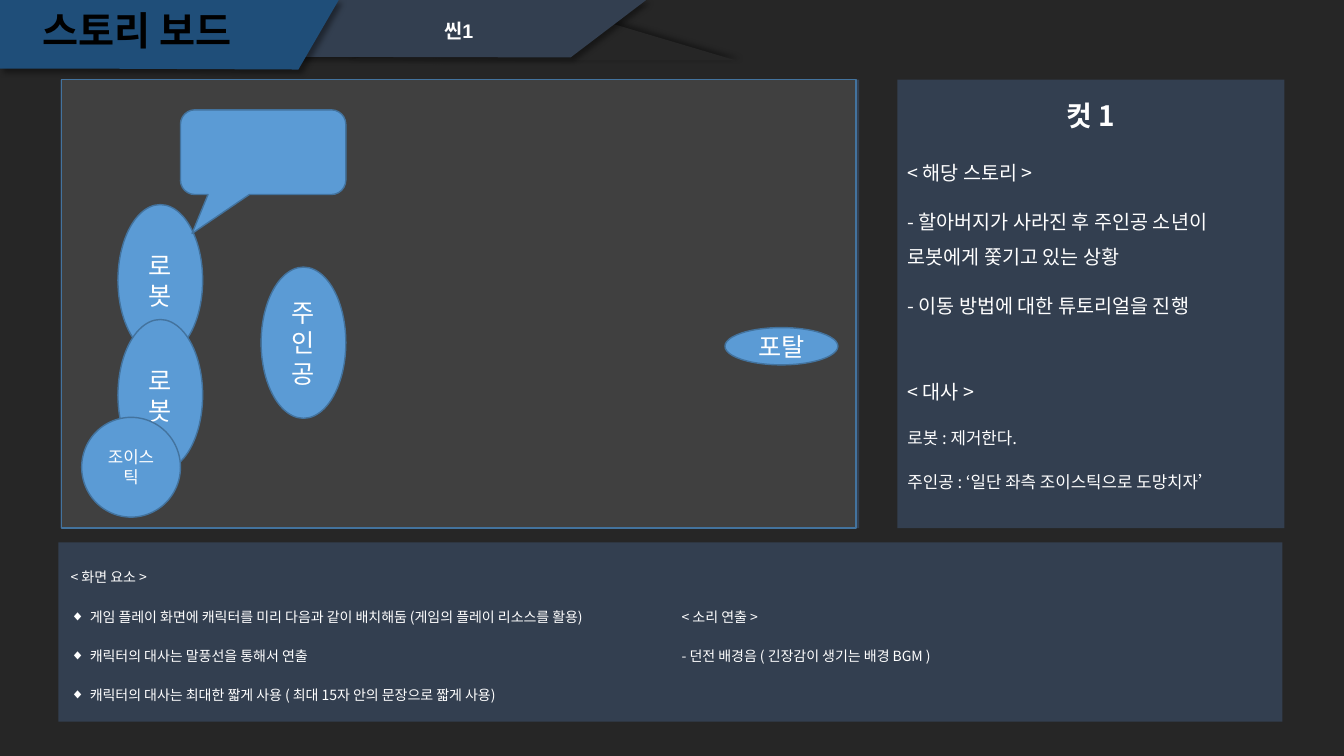
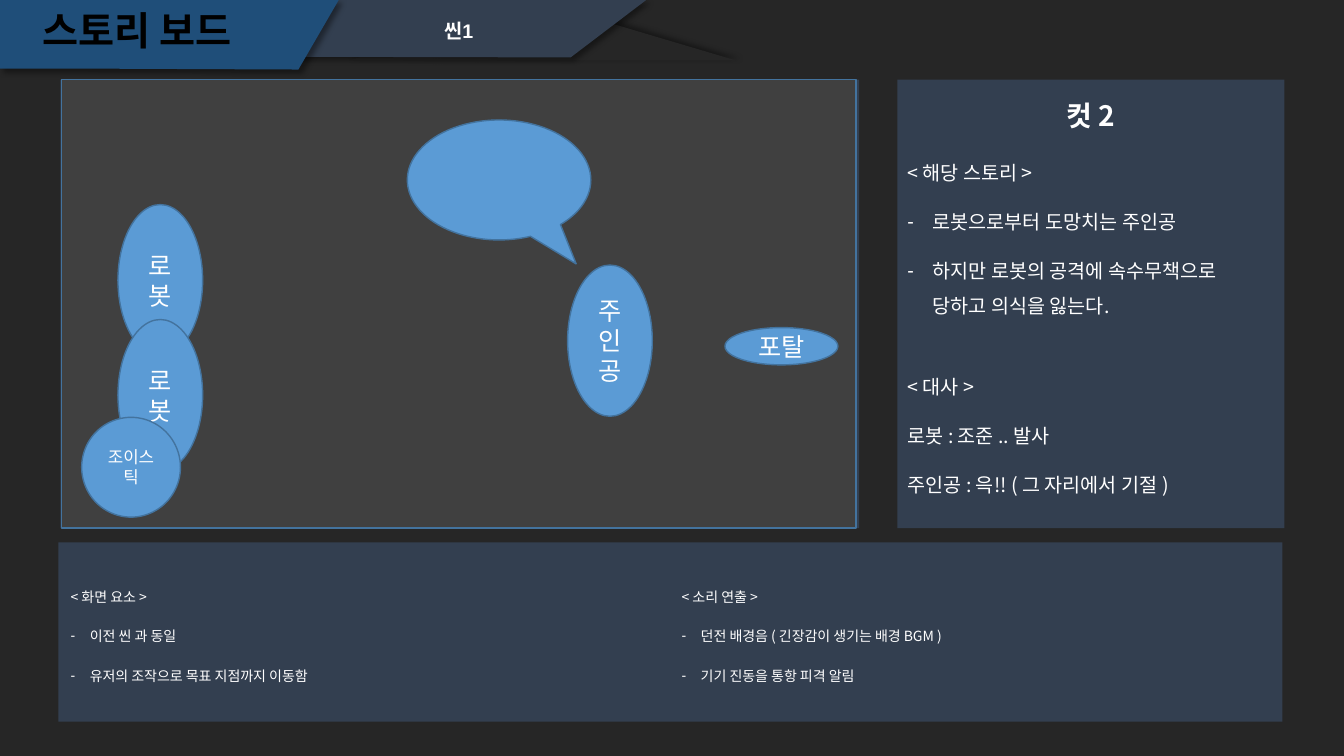
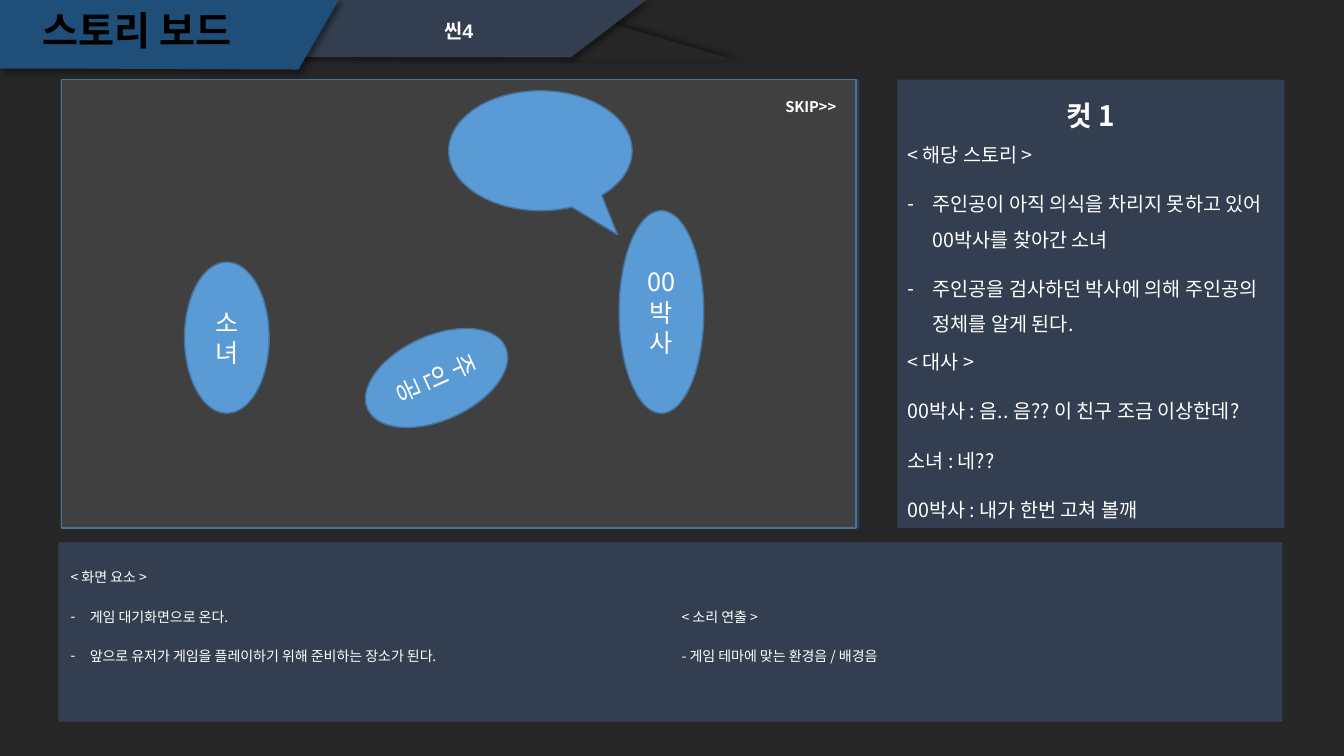
import dataclasses
import typing

import lxml.etree
import pptx
import pptx.dml.color
import pptx.enum.shapes
import pptx.enum.text
import pptx.oxml
import pptx.oxml.ns
import pptx.util

SCALE = 9144
COLORS = {
    "ground": "262626",
    "panel": "333F50",
    "banner": "1F4E79",
    "stage": "404040",
    "actor": "5B9BD5",
    "outline": "43739E",
    "white": "FFFFFF",
    "black": "000000",
}
KOREAN = "Noto Sans CJK KR"
LATIN = "Arial"
SHAPE = pptx.enum.shapes.MSO_SHAPE
ALIGN = pptx.enum.text.PP_ALIGN
ANCHOR = pptx.enum.text.MSO_ANCHOR


@dataclasses.dataclass(frozen=True)
class Box:
    left: int
    top: int
    width: int
    height: int


@dataclasses.dataclass(frozen=True)
class Style:
    size: float
    font: str = KOREAN
    color: str = "white"
    bold: bool = False
    align: typing.Any = ALIGN.LEFT
    spacing: float = 1.5


@dataclasses.dataclass(frozen=True)
class Line:
    text: str
    bullet: str = ""
    size: typing.Optional[float] = None


@dataclasses.dataclass(frozen=True)
class Panel:
    index: int
    box: Box
    size: int
    indent: int


@dataclasses.dataclass(frozen=True)
class Actor:
    box: Box
    text: str = ""
    size: int = 18
    kind: typing.Any = SHAPE.OVAL
    rotation: float = 0
    adjustments: tuple[float, ...] = ()


@dataclasses.dataclass(frozen=True)
class Cut:
    scene: str
    heading: str
    actors: list[Actor]
    story: list[Line]
    dialogue: list[Line]
    screen: list[Line]
    sound: list[Line]
    screen_bottom: int = 5
    skip: str = ""


STORY = Panel(1, Box(890, 134, 384, 195), 14, 25)
DIALOGUE = Panel(2, Box(890, 329, 385, 195), 14, 25)
SCREEN = Panel(3, Box(60, 538, 606, 178), 10, 19)
SOUND = Panel(4, Box(666, 538, 606, 178), 10, 19)
TITLE_STYLE = Style(28, LATIN, "black", True, ALIGN.CENTER, 0.9)
SCENE_STYLE = Style(14, LATIN, "white", True, ALIGN.CENTER, 0.9)
CUT_STYLE = Style(20, bold=True, align=ALIGN.CENTER)
SKIP_STYLE = Style(10.5, bold=True, spacing=1)


def px(length: float) -> int:
    return pptx.util.Emu(round(length * SCALE))


def place(box: Box) -> tuple[int, int, int, int]:
    return px(box.left), px(box.top), px(box.width), px(box.height)


def rgb(name: str) -> pptx.dml.color.RGBColor:
    return pptx.dml.color.RGBColor.from_string(COLORS[name])


def paint(shape, fill: str, outline: str = "") -> None:
    shape.shadow.inherit = False
    shape.fill.solid()
    shape.fill.fore_color.rgb = rgb(fill)
    if outline:
        shape.line.color.rgb = rgb(outline)
        shape.line.width = pptx.util.Pt(1)
    else:
        shape.line.fill.background()


def cast_shadow(shape, angle: int) -> None:
    effects = shape.element.spPr.find(pptx.oxml.ns.qn("a:effectLst"))
    effects.append(pptx.oxml.parse_xml(
        f'<a:outerShdw {pptx.oxml.ns.nsdecls("a")} blurRad="50800" dist="38100" '
        f'dir="{angle * 60000}" algn="tl" rotWithShape="0"><a:srgbClr val="{COLORS["black"]}">'
        '<a:alpha val="40000"/></a:srgbClr></a:outerShdw>'))


def add_span(para, text: str, style: Style, size: typing.Optional[float] = None) -> None:
    span = para.add_run()
    span.text = text
    span.font.size = pptx.util.Pt(size or style.size)
    span.font.name = style.font
    span.font.bold = style.bold
    span.font.color.rgb = rgb(style.color)
    latin = span.font._element.find(pptx.oxml.ns.qn("a:latin"))
    east = lxml.etree.Element(pptx.oxml.ns.qn("a:ea"), typeface=KOREAN)
    latin.addnext(east)


def write(shape, lines: list[Line], style: Style, indent: int = 0, anchor=ANCHOR.MIDDLE) -> None:
    frame = shape.text_frame
    frame.word_wrap = True
    frame.auto_size = pptx.enum.text.MSO_AUTO_SIZE.NONE
    frame.vertical_anchor = anchor
    for order, line in enumerate(lines):
        para = frame.add_paragraph() if order else frame.paragraphs[0]
        para.alignment = style.align
        para.line_spacing = style.spacing
        para.space_before = pptx.util.Pt(10 if order else 0)
        properties = para._p.get_or_add_pPr()
        hanging = px(indent) if line.bullet else 0
        properties.set("marL", str(hanging))
        properties.set("indent", str(-hanging))
        kind = "a:buChar" if line.bullet else "a:buNone"
        bullet = lxml.etree.SubElement(properties, pptx.oxml.ns.qn(kind))
        if line.bullet:
            bullet.set("char", line.bullet)
        add_span(para, line.text, style, line.size)


def add_label(page, box: Box, text: str, style: Style, anchor=ANCHOR.MIDDLE) -> None:
    label = page.shapes.add_textbox(*place(box))
    write(label, [Line(text)], style, anchor=anchor)


def add_outline(page, points: list[tuple[int, int]], fill: str):
    builder = page.shapes.build_freeform(*points[0], scale=SCALE)
    builder.add_line_segments(points[1:], close=True)
    shape = builder.convert_to_shape()
    paint(shape, fill)
    cast_shadow(shape, 45)
    return shape


def build_layout(page, layout) -> None:
    fold = page.shapes.add_shape(SHAPE.ISOSCELES_TRIANGLE, *place(Box(346, 3, 384, 57)))
    paint(fold, "ground")
    cast_shadow(fold, 315)
    parts = [
        fold,
        add_outline(page, [(5, 0), (641, 0), (566, 57), (138, 56), (5, 56)], "panel"),
        add_outline(page, [(0, 0), (336, 0), (296, 69), (70, 68), (0, 68)], "banner"),
    ]
    for box in (Box(60, 79, 792, 445), Box(890, 79, 384, 445), Box(58, 538, 1214, 178)):
        panel = page.shapes.add_shape(SHAPE.RECTANGLE, *place(box))
        paint(panel, "panel")
        parts.append(panel)
    for order, part in enumerate(parts):
        part.element.nvSpPr.cNvPr.set("id", str(101 + order))
        layout.shapes.element.insert(2 + order, part.element)


def add_actor(page, actor: Actor) -> None:
    shape = page.shapes.add_shape(actor.kind, *place(actor.box))
    paint(shape, "actor", "outline")
    shape.rotation = actor.rotation
    for order, value in enumerate(actor.adjustments):
        shape.adjustments[order] = value
    if actor.text:
        write(shape, [Line(actor.text)], Style(actor.size, align=ALIGN.CENTER, spacing=1))


def fill_panel(page, panel: Panel, lines: list[Line]):
    body = page.placeholders[panel.index]
    body.left, body.top, body.width, body.height = place(panel.box)
    write(body, lines, Style(panel.size), panel.indent)
    return body


def build_cut(page, cut: Cut) -> None:
    title = page.shapes.title
    title.left, title.top, title.width, title.height = place(Box(3, 6, 266, 53))
    write(title, [Line("스토리 보드")], TITLE_STYLE)
    add_label(page, Box(405, 16, 100, 32), cut.scene, SCENE_STYLE, ANCHOR.TOP)
    add_label(page, Box(890, 79, 383, 54), cut.heading, CUT_STYLE)
    stage = page.shapes.add_shape(SHAPE.RECTANGLE, *place(Box(61, 79, 788, 445)))
    paint(stage, "stage", "outline")
    for actor in cut.actors:
        add_actor(page, actor)
    fill_panel(page, STORY, [Line("< 해당 스토리 >")] + cut.story)
    fill_panel(page, DIALOGUE, [Line("< 대사 >")] + cut.dialogue)
    screen = fill_panel(page, SCREEN, [Line("< 화면 요소 >")] + cut.screen)
    screen.text_frame.margin_bottom = px(cut.screen_bottom)
    fill_panel(page, SOUND, [Line("< 소리 연출 >")] + cut.sound)
    if cut.skip:
        add_label(page, Box(769, 92, 100, 29), cut.skip, SKIP_STYLE, ANCHOR.TOP)


def hero(left: int, top: int, rotation: float = 0) -> Actor:
    return Actor(Box(left, top, 84, 150), "주인공", rotation=rotation)


def speech(left: int, top: int) -> Actor:
    return Actor(Box(left, top, 182, 119), kind=SHAPE.OVAL_CALLOUT, adjustments=(0.42, 0.7))


ROBOTS = [Actor(Box(117, top, 84, 150), "로봇") for top in (203, 317)]
JOYSTICK = Actor(Box(81, 414, 98, 99), "조이스틱", 12)
PORTAL = Actor(Box(719, 325, 112, 37), "포탈")
ROBOT_SPEECH = Actor(Box(179, 109, 164, 84), kind=SHAPE.ROUNDED_RECTANGULAR_CALLOUT,
                     adjustments=(-0.43, 0.96, 0.17))

CUTS = [
    Cut(
        "씬1", "컷 1",
        [hero(259, 265), *ROBOTS, ROBOT_SPEECH, JOYSTICK, PORTAL],
        [Line("- 할아버지가 사라진 후 주인공 소년이 로봇에게 쫓기고 있는 상황"),
         Line("- 이동 방법에 대한 튜토리얼을 진행")],
        [Line("로봇 : 제거한다.", size=12),
         Line("주인공 : ‘일단 좌측 조이스틱으로 도망치자’", size=12)],
        [Line("게임 플레이 화면에 캐릭터를 미리 다음과 같이 배치해둠 (게임의 플레이 리소스를 활용)", "◆"),
         Line("캐릭터의 대사는 말풍선을 통해서 연출", "◆"),
         Line("캐릭터의 대사는 최대한 짧게 사용 ( 최대 15자 안의 문장으로 짧게 사용)", "◆")],
        [Line("- 던전 배경음 ( 긴장감이 생기는 배경 BGM )")],
    ),
    Cut(
        "씬1", "컷 2",
        [hero(563, 263), *ROBOTS, JOYSTICK, PORTAL, speech(404, 119)],
        [Line("로봇으로부터 도망치는 주인공", "-"),
         Line("하지만 로봇의 공격에 속수무책으로 당하고 의식을 잃는다.", "-")],
        [Line("로봇 : 조준 .. 발사"),
         Line("주인공 : 윽!! ( 그 자리에서 기절 )")],
        [Line("이전 씬 과 동일", "-"),
         Line("유저의 조작으로 목표 지점까지 이동함", "-")],
        [Line("던전 배경음 ( 긴장감이 생기는 배경 BGM )", "-"),
         Line("기기 진동을 통항 피격 알림", "-")],
    ),
    Cut(
        "씬4", "컷 1",
        [hero(391, 300, 65.8), Actor(Box(183, 260, 84, 150), "소녀"),
         Actor(Box(614, 209, 84, 201), "00박사"), speech(445, 90)],
        [Line("주인공이 아직 의식을 차리지 못하고 있어 00박사를 찾아간 소녀", "-"),
         Line("주인공을 검사하던 박사에 의해 주인공의 정체를 알게 된다.", "-")],
        [Line("00박사 : 음.. 음?? 이 친구 조금 이상한데?"),
         Line("소녀 : 네??"),
         Line("00박사 : 내가 한번 고쳐 볼깨")],
        [Line("게임 대기화면으로 온다.", "-"),
         Line("앞으로 유저가 게임을 플레이하기 위해 준비하는 장소가 된다.", "-")],
        [Line("- 게임 테마에 맞는 환경음 / 배경음")],
        screen_bottom=44,
        skip="SKIP>>",
    ),
]


def main() -> None:
    deck = pptx.Presentation()
    deck.slide_width, deck.slide_height = px(1333), px(750)
    layout = deck.slide_layouts.get_by_name("Comparison")
    background = deck.slide_master.background.fill
    background.solid()
    background.fore_color.rgb = rgb("ground")
    pages = [deck.slides.add_slide(layout) for _ in CUTS]
    build_layout(pages[0], layout)
    for page, cut in zip(pages, CUTS):
        build_cut(page, cut)
    deck.save("out.pptx")


if __name__ == "__main__":
    main()
